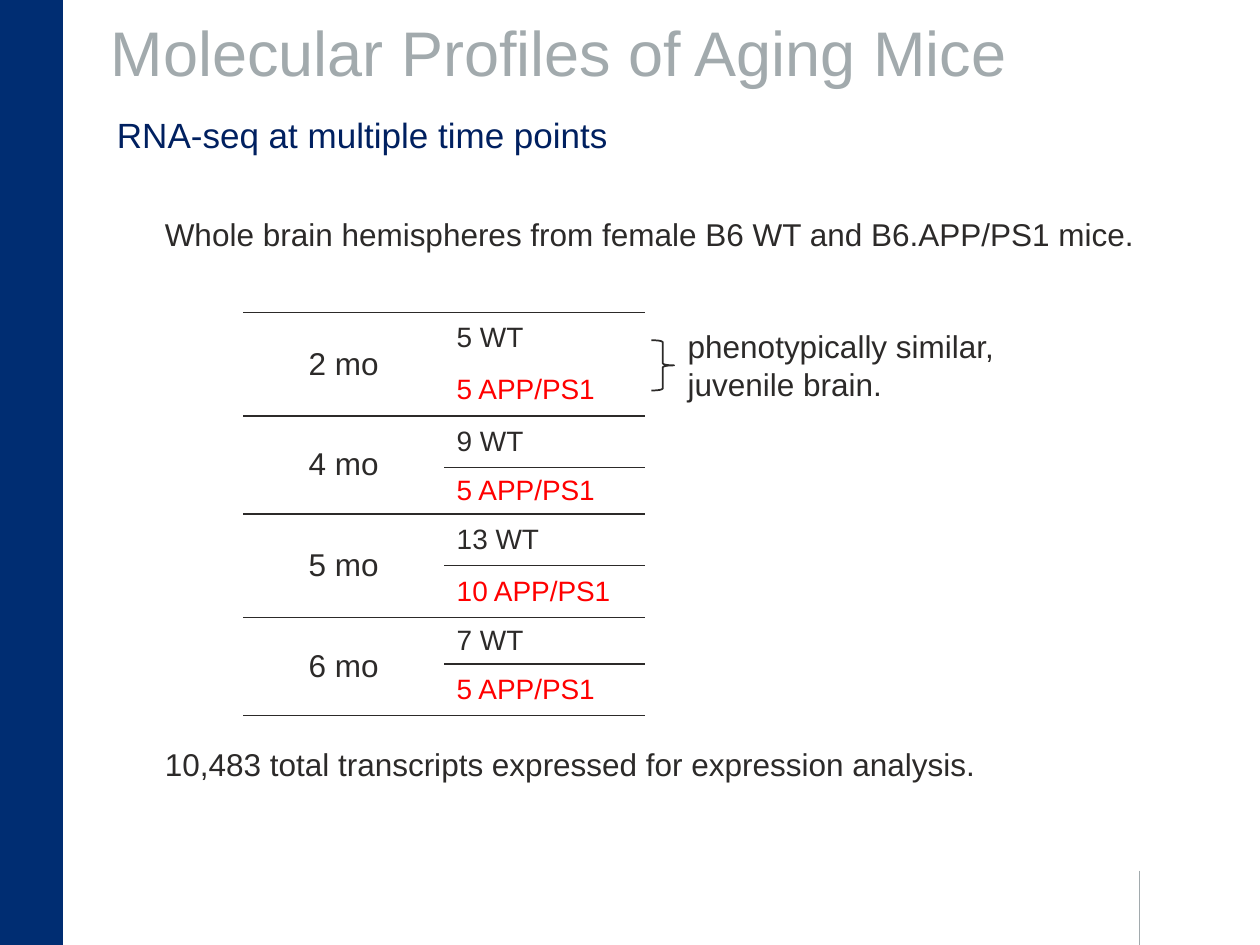
from lxml import etree
from pptx import Presentation
from pptx.dml.color import RGBColor
from pptx.enum.shapes import MSO_CONNECTOR, MSO_SHAPE
from pptx.enum.text import MSO_ANCHOR, PP_ALIGN
from pptx.oxml.ns import qn
from pptx.util import Inches, Pt

LINE, RECT, BRACE = MSO_CONNECTOR.STRAIGHT, MSO_SHAPE.RECTANGLE, MSO_SHAPE.RIGHT_BRACE
MIDDLE, CENTER, LEFT = MSO_ANCHOR.MIDDLE, PP_ALIGN.CENTER, PP_ALIGN.LEFT
FONT = "Arial"
PLAIN = "{2D5ABB26-0587-4C30-8999-92F81FD0307C}"  # table style without grid
HEX = {"navy": "002D72", "deep": "002060", "gray": "A2AAAD",
       "ink": "2C2A29", "red": "FF0000"}
color = {name: RGBColor.from_string(code) for name, code in HEX.items()}

deck = Presentation()
deck.slide_width, deck.slide_height = Inches(10), Inches(7.5)
slide = deck.slides.add_slide(deck.slide_layouts[6])
shapes = slide.shapes


def area(x, y, w, h):
    """Turn percentages of the slide's width and height into lengths."""
    col, row = deck.slide_width / 100, deck.slide_height / 100
    return int(x * col), int(y * row), int(w * col), int(h * row)


def write(frame, text, size, tone, align=LEFT):
    frame.text = text
    for para in frame.paragraphs:
        para.alignment = align
        for run in para.runs:
            run.font.name, run.font.size = FONT, Pt(size)
            run.font.color.rgb = color[tone]


# Side bar and footer rule
bar = shapes.add_shape(RECT, *area(0, 0, 5, 100))
bar.shadow.inherit = False
bar.fill.solid()
bar.fill.fore_color.rgb = color["navy"]
bar.line.fill.background()

x, y, w, h = area(90.4, 92.13, 0, 7.87)
rule = shapes.add_connector(LINE, x, y, x, y + h)
rule.line.color.rgb = color["gray"]
rule.line.width = Pt(0.25)
etree.SubElement(rule._element.spPr, qn("a:effectLst"))

# Text boxes: place, wrap, size, tone, text
texts = [
    ((7.8, 0, 92.2, 10.8), True, 36, "gray", "Molecular Profiles of Aging Mice"),
    ((8.3, 11.33, 68.3, 5.87), True, 20, "deep", "RNA-seq at multiple time points"),
    ((12.1, 22.13, 80.6, 61.87), True, 18, "ink",
     "Whole brain hemispheres from female B6 WT and B6.APP/PS1 mice.\n"
     "10,483 total transcripts expressed for expression analysis."),
    ((53.6, 34, 26.6, 9.47), False, 18, "ink",
     "phenotypically similar,\njuvenile brain."),
]
boxes = []
for place, wrap, size, tone, text in texts:
    box = shapes.add_textbox(*area(*place))
    box.text_frame.word_wrap = wrap
    write(box.text_frame, text, size, tone)
    boxes.append(box)
title, topic, body, note = boxes
title.text_frame.vertical_anchor = MIDDLE
body.text_frame.paragraphs[1].space_before = Pt(281)  # room for the table

# Sample table: two rows for each age
ages = [("2 mo", "5 WT", "5 APP/PS1"), ("4 mo", "9 WT", "5 APP/PS1"),
        ("5 mo", "13 WT", "10 APP/PS1"), ("6 mo", "7 WT", "5 APP/PS1")]
tall, low = 0.41, 0.37
rows = [tall, tall, tall, low, tall, tall, low, tall]
frame = shapes.add_table(len(rows), 2, *area(19.3, 33.07, 31.9, 42.27))
table = frame.table
table.first_row = table.horz_banding = False
table._tbl.tblPr.find(qn("a:tableStyleId")).text = PLAIN
for row, high in zip(table.rows, rows):
    row.height = Inches(high)

for n, (age, wild, mutant) in enumerate(ages):
    top, end = 2 * n, 2 * n + 1
    write(table.cell(top, 0).text_frame, age, 18, "ink", CENTER)
    write(table.cell(top, 1).text_frame, wild, 16, "ink")
    write(table.cell(end, 1).text_frame, mutant, 16, "red")
    table.cell(top, 0).merge(table.cell(end, 0))
    for r, c, sides in ((top, 0, "TB"), (end, 0, "B"), (top, 1, "T"), (end, 1, "B")):
        cell = table.cell(r, c)
        cell.vertical_anchor = MIDDLE
        props = cell._tc.get_or_add_tcPr()
        for side in sides:
            edge = etree.SubElement(props, qn("a:ln" + side), w=str(Pt(1)))
            fill = etree.SubElement(edge, qn("a:solidFill"))
            etree.SubElement(fill, qn("a:srgbClr"), val=HEX["ink"])
        cell.fill.background()

# Brace from the first age to its note
brace = shapes.add_shape(BRACE, *area(51.7, 36, 1.8, 5.33))
brace.shadow.inherit = False
brace.fill.background()
brace.line.color.rgb = color["ink"]
brace.line.width = Pt(1)

deck.save("out.pptx")
